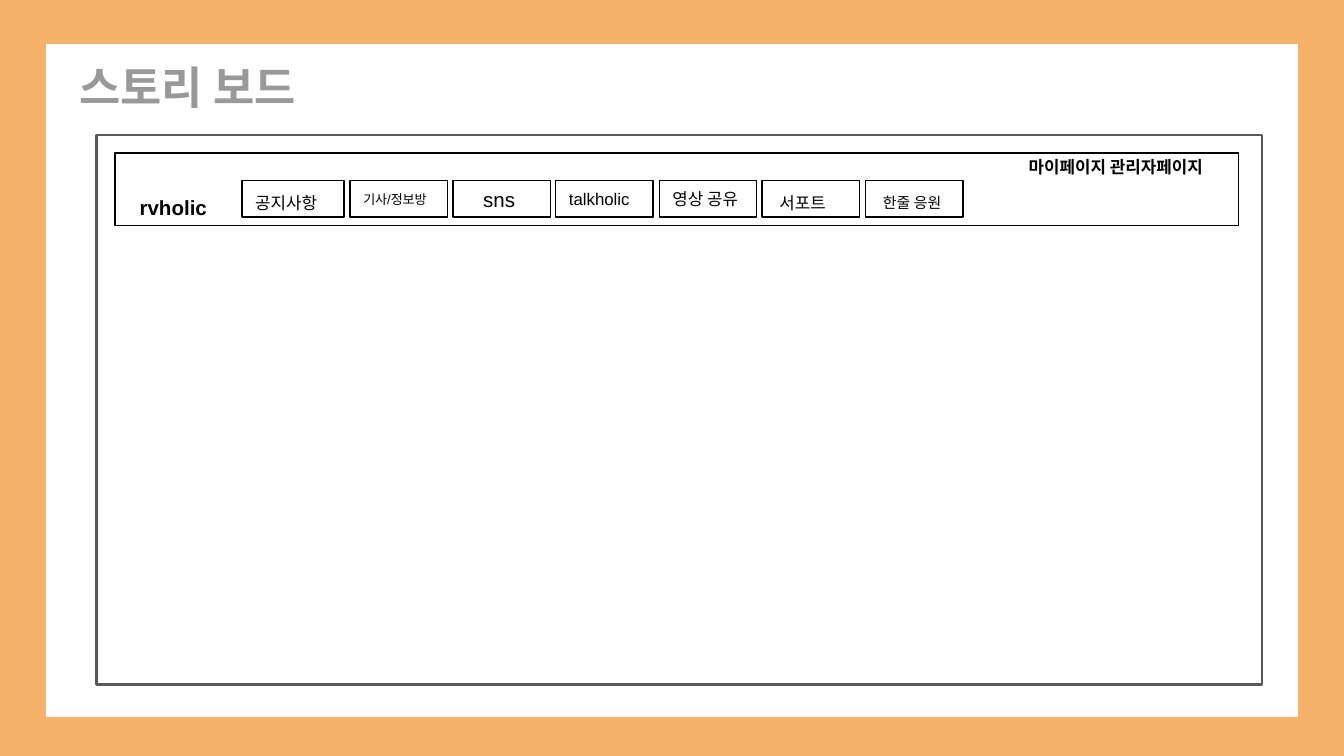
import dataclasses

import pptx
import pptx.dml.color
import pptx.enum.shapes
import pptx.enum.text
import pptx.util

PX = 4572
SHAPE = pptx.enum.shapes.MSO_SHAPE
ALIGN = pptx.enum.text.PP_ALIGN
ANCHOR = pptx.enum.text.MSO_ANCHOR


@dataclasses.dataclass(frozen=True)
class Theme:
    band: str = "F6B26B"
    frame: str = "595959"
    title: str = "999999"
    ink: str = "000000"
    font: str = "Arial"
    head: str = "DejaVu Sans"
    head_size: int = 24
    large: int = 11
    mid: int = 9
    small: int = 8
    tiny: int = 7
    thick: float = 1.5
    thin: float = 0.75


THEME = Theme()


def emu(*sizes):
    return [pptx.util.Emu(size * PX) for size in sizes]


def color(code):
    return pptx.dml.color.RGBColor.from_string(code)


def write(shape, text, size, tint=THEME.ink, font=THEME.font, bold=False,
          align=ALIGN.LEFT, anchor=ANCHOR.TOP, inset=(20, 20, 20, 20)):
    frame = shape.text_frame
    frame.word_wrap = True
    frame.auto_size = pptx.enum.text.MSO_AUTO_SIZE.NONE
    frame.vertical_anchor = anchor
    (frame.margin_left, frame.margin_top,
     frame.margin_right, frame.margin_bottom) = emu(*inset)
    frame.text = text
    para = frame.paragraphs[0]
    para.alignment = align
    para.font.name = font
    para.font.size = pptx.util.Pt(size)
    para.font.bold = bold
    para.font.color.rgb = color(tint)


def add_box(slide, area, tint, width):
    box = slide.shapes.add_shape(SHAPE.RECTANGLE, *emu(*area))
    box.shadow.inherit = False
    box.fill.background()
    box.line.color.rgb = color(tint)
    box.line.width = pptx.util.Pt(width)
    return box


def add_label(slide, area, text, size, **style):
    label = slide.shapes.add_textbox(*emu(*area))
    write(label, text, size, **style)


def add_border(slide):
    group = slide.shapes.add_group_shape()
    for area in ((0, 0, 2000, 65), (0, 1067, 2000, 58),
                 (0, 0, 68, 1125), (1932, 0, 68, 1125)):
        band = group.shapes.add_shape(SHAPE.FLOWCHART_PROCESS, *emu(*area))
        band.shadow.inherit = False
        band.fill.solid()
        band.fill.fore_color.rgb = color(THEME.band)
        band.line.fill.background()


def add_title(slide, text):
    title = slide.shapes.title
    title.left, title.top, title.width, title.height = emu(98, 69, 858, 178)
    write(title, text, THEME.head_size, THEME.title, THEME.head, bold=True)


def add_tab(slide, left, width, text, size, indent, drop):
    tab = add_box(slide, (left, 269, width, 54), THEME.ink, THEME.thin)
    write(tab, text, size, anchor=ANCHOR.MIDDLE, inset=(indent, drop, 0, 0))


def add_menu(slide):
    add_tab(slide, 360, 152, "공지사항", THEME.mid, 20, 11)
    tabs = (
        ("기사/정보방", THEME.tiny, 20, 0),
        ("sns", THEME.large, 45, 0),
        ("talkholic", THEME.mid, 20, 0),
        ("영상 공유", THEME.mid, 20, 0),
        ("서포트", THEME.mid, 26, 13),
        ("한줄 응원", THEME.small, 26, 11),
    )
    for order, tab in enumerate(tabs):
        add_tab(slide, round(520.6 + 153.4 * order), 145, *tab)


def main():
    deck = pptx.Presentation()
    deck.slide_width, deck.slide_height = emu(2000, 1125)
    slide = deck.slides.add_slide(deck.slide_layouts[5])
    add_box(slide, (144, 201, 1734, 818), THEME.frame, THEME.thick)
    add_border(slide)
    add_title(slide, "스토리 보드")
    add_box(slide, (171, 228, 1672, 108), THEME.ink, THEME.thin)
    add_label(slide, (188, 270, 152, 52), "rvholic", THEME.large, bold=True)
    add_label(slide, (1511, 190, 450, 42), "마이페이지 관리자페이지",
              THEME.mid, bold=True, align=ALIGN.JUSTIFY,
              inset=(20, 45, 20, 0))
    add_menu(slide)
    deck.save("out.pptx")


if __name__ == "__main__":
    main()
